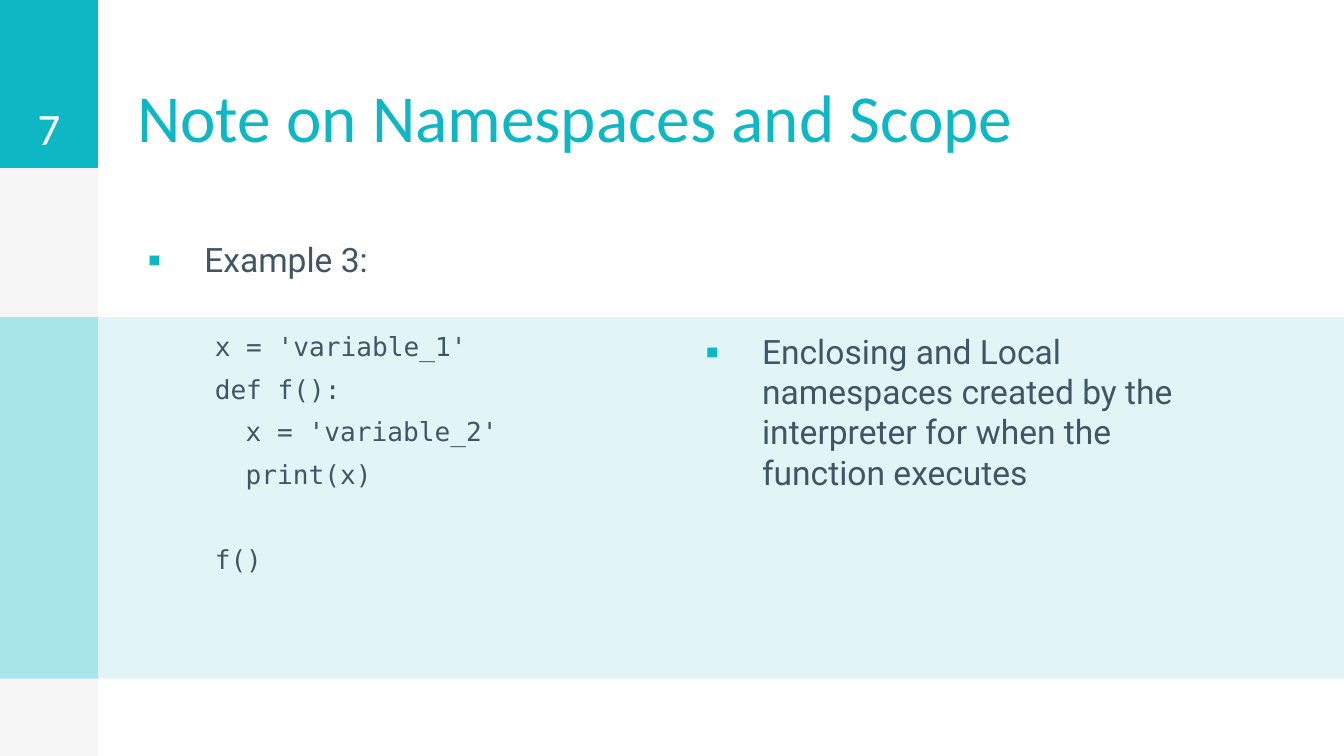
"""Build a slide on Python namespaces and scope: a code example beside a note."""
from dataclasses import dataclass

import pptx
import pptx.dml.color
import pptx.enum.shapes
import pptx.enum.text
import pptx.oxml
import pptx.oxml.ns
import pptx.presentation
import pptx.shapes.base
import pptx.slide
import pptx.text.text
import pptx.util

ALIGN = pptx.enum.text.PP_ALIGN
ANCHOR = pptx.enum.text.MSO_ANCHOR


@dataclass(frozen=True)
class Theme:
    """Colours, fonts and type sizes."""
    accent: str = "0DB7C4"
    band: str = "E1F5F7"
    band_edge: str = "A7E5E9"
    sidebar: str = "F6F6F6"
    ink: str = "415665"
    white: str = "FFFFFF"
    heading_font: str = "Calibri"
    body_font: str = "Roboto"
    code_font: str = "DejaVu Sans Mono"
    title_size: int = 36
    number_size: int = 24
    body_size: int = 18
    code_size: int = 14


@dataclass(frozen=True)
class Area:
    """A block of the slide in grid columns and rows."""
    column: float
    row: float
    columns: float
    rows: float


@dataclass(frozen=True)
class Panel:
    """A plain coloured area."""
    area: Area
    color: str


@dataclass(frozen=True)
class CodeLine:
    """A line of code with its depth and the blank lines above it."""
    text: str
    depth: int = 0
    blanks: int = 0


THEME = Theme()
CELL = pptx.util.Inches(0.1)
COLUMNS, ROWS = 100, 56.25
SIDEBAR, HEADER = 7.3, 12.5
BAND_TOP, BAND_ROWS = 23.6, 26.9
TEXT_LEFT, TEXT_COLUMNS = 9.2, 41.7
NOTE_LEFT = 50.7
GAP = 6
CODE_PITCH = 22.8
CODE_MARGIN, CODE_STEP = 0.58, 0.23

PANELS = [
    Panel(Area(0, 0, SIDEBAR, ROWS), THEME.sidebar),
    Panel(Area(0, 0, SIDEBAR, HEADER), THEME.accent),
    Panel(Area(SIDEBAR, BAND_TOP, COLUMNS - SIDEBAR, BAND_ROWS), THEME.band),
    Panel(Area(0, BAND_TOP, SIDEBAR, BAND_ROWS), THEME.band_edge),
]
CODE = [
    CodeLine("x = 'variable_1'"),
    CodeLine("def f():"),
    CodeLine("x = 'variable_2'", depth=1),
    CodeLine("print(x)", depth=1),
    CodeLine("f()", blanks=1),
]


def rgb(color: str) -> pptx.dml.color.RGBColor:
    """Turn a hex string into a colour."""
    return pptx.dml.color.RGBColor.from_string(color)


def box(area: Area) -> tuple[int, ...]:
    """Convert a grid area to left, top, width and height."""
    return tuple(round(n * CELL) for n in (area.column, area.row, area.columns, area.rows))


def draw_panel(slide: pptx.slide.Slide, panel: Panel) -> None:
    """Draw one coloured area."""
    block = slide.shapes.add_shape(pptx.enum.shapes.MSO_SHAPE.RECTANGLE, *box(panel.area))
    block.shadow.inherit = False
    block.fill.solid()
    block.fill.fore_color.rgb = rgb(panel.color)
    block.line.fill.background()


def prepare(holder: pptx.shapes.base.BaseShape, area: Area,
            anchor: ANCHOR = ANCHOR.TOP) -> pptx.text.text.TextFrame:
    """Place a text holder in front of the panels and set up its frame."""
    holder.left, holder.top, holder.width, holder.height = box(area)
    holder.element.getparent().append(holder.element)
    frame = holder.text_frame
    frame.word_wrap = True
    frame.auto_size = pptx.enum.text.MSO_AUTO_SIZE.NONE
    frame.vertical_anchor = anchor
    frame.margin_left = frame.margin_right = frame.margin_top = frame.margin_bottom = CELL
    return frame


def write(paragraph: pptx.text.text._Paragraph, text: str, *, size: int, color: str, font: str,
          align: ALIGN = ALIGN.LEFT, before: float = 0, margin: float = 0,
          hanging: float = 0, bullet: str = "") -> None:
    """Fill a paragraph with formatted text."""
    run = paragraph.add_run()
    run.text = text
    run.font.size = pptx.util.Pt(size)
    run.font.name = font
    run.font.color.rgb = rgb(color)
    paragraph.alignment = align
    paragraph.space_before = pptx.util.Pt(before)
    properties = paragraph._p.get_or_add_pPr()
    properties.set("marL", str(int(pptx.util.Inches(margin))))
    properties.set("indent", str(-int(pptx.util.Inches(hanging))))
    namespace = pptx.oxml.ns.nsdecls("a")
    marks = [f"<a:buNone {namespace}/>"]
    if bullet:
        marks = [
            f'<a:buClr {namespace}><a:srgbClr val="{THEME.accent}"/></a:buClr>',
            f'<a:buFont {namespace} typeface="{font}"/>',
            f'<a:buChar {namespace} char="{bullet}"/>',
        ]
    for mark in marks:
        properties.append(pptx.oxml.parse_xml(mark))


def write_point(holder: pptx.shapes.base.BaseShape, area: Area, text: str) -> None:
    """Write one bulleted point in a body placeholder."""
    write(prepare(holder, area).paragraphs[0], text, size=THEME.body_size, color=THEME.ink,
          font=THEME.body_font, before=GAP, margin=0.5, hanging=0.42, bullet="▪")


def write_code(slide: pptx.slide.Slide, area: Area, lines: list[CodeLine]) -> None:
    """Write a code listing, one paragraph a line."""
    frame = prepare(slide.shapes.add_textbox(*box(area)), area)
    for index, line in enumerate(lines):
        paragraph = frame.add_paragraph() if index else frame.paragraphs[0]
        write(paragraph, line.text, size=THEME.code_size, color=THEME.ink, font=THEME.code_font,
              before=GAP + line.blanks * CODE_PITCH,
              margin=CODE_MARGIN + line.depth * CODE_STEP)


def build() -> pptx.presentation.Presentation:
    """Compose the slide."""
    deck = pptx.Presentation()
    deck.slide_width, deck.slide_height = round(COLUMNS * CELL), round(ROWS * CELL)
    slide = deck.slides.add_slide(deck.slide_layouts.get_by_name("Two Content"))
    title, example, note = slide.placeholders
    for panel in PANELS:
        draw_panel(slide, panel)

    heading = prepare(title, Area(TEXT_LEFT, 0.1, 83.4, HEADER), ANCHOR.BOTTOM)
    write(heading.paragraphs[0], "Note on Namespaces and Scope", size=THEME.title_size,
          color=THEME.accent, font=THEME.heading_font)
    corner = Area(0, 0, SIDEBAR, HEADER)
    number = prepare(slide.shapes.add_textbox(*box(corner)), corner, ANCHOR.BOTTOM)
    write(number.paragraphs[0], "7", size=THEME.number_size, color=THEME.white,
          font=THEME.heading_font, align=ALIGN.CENTER)

    write_point(example, Area(TEXT_LEFT, 16.8, TEXT_COLUMNS, 37.1), "Example 3:")
    write_code(slide, Area(TEXT_LEFT, BAND_TOP, TEXT_COLUMNS, BAND_ROWS), CODE)
    write_point(note, Area(NOTE_LEFT, BAND_TOP, TEXT_COLUMNS, BAND_ROWS),
                "Enclosing and Local namespaces created by the interpreter "
                "for when the function executes")
    return deck


if __name__ == "__main__":
    build().save("out.pptx")
